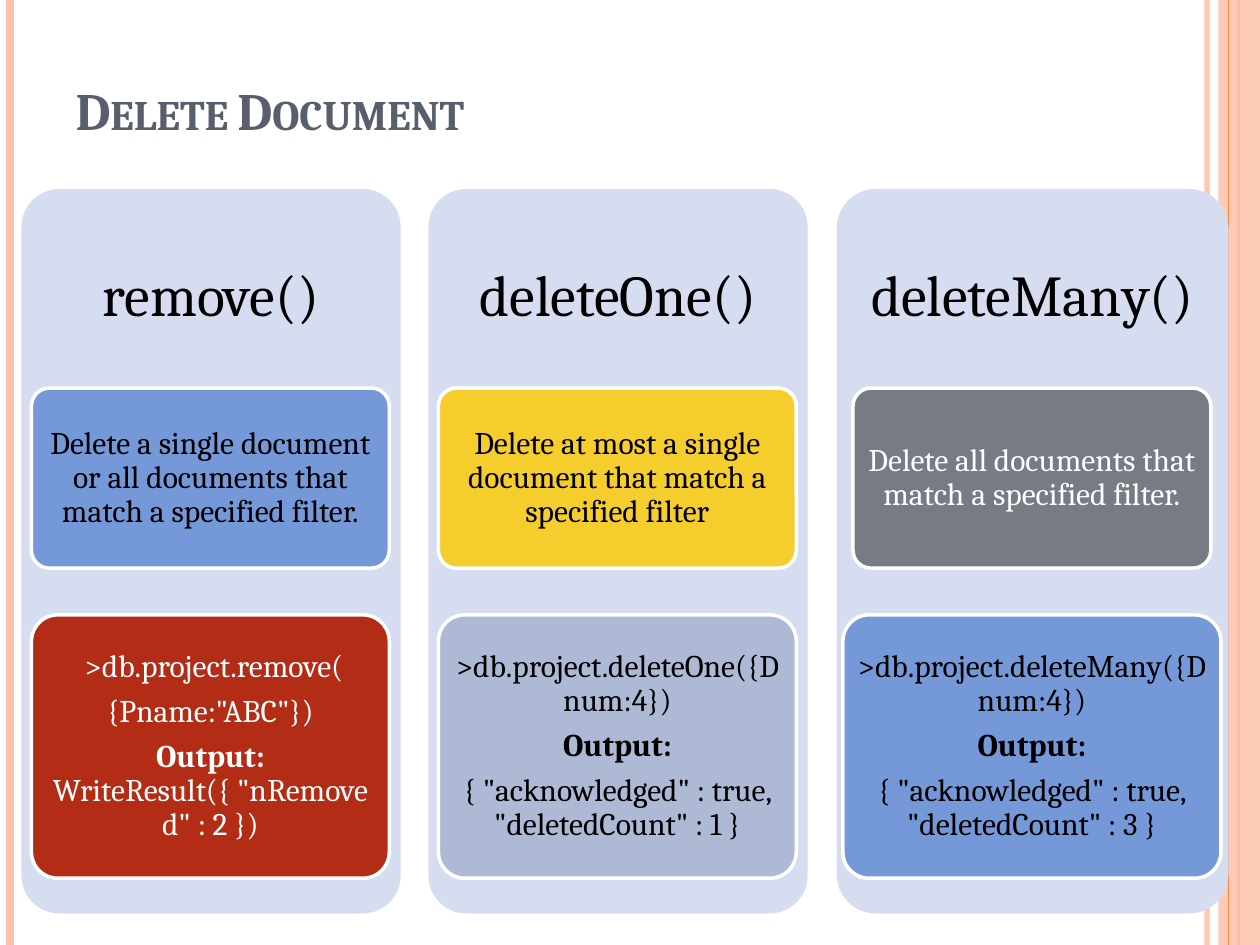
from lxml.etree import SubElement
from pptx import Presentation
from pptx.dml.color import RGBColor
from pptx.enum.shapes import MSO_CONNECTOR, MSO_SHAPE
from pptx.enum.text import MSO_ANCHOR, MSO_AUTO_SIZE, PP_ALIGN
from pptx.oxml.ns import qn
from pptx.util import Emu, Pt

SCALE = 9144  # EMU per px, 100 px to the inch
WIDE, HIGH = 1000, 750
PEACH, ORANGE, SLATE = "FEC3AE", "FE8637", "575F6D"
PALE, WHITE, BLACK = "D6DDF1", "FFFFFF", "000000"
BLUE, RED, GOLD, GREY, MIST = "7598D9", "B32C16", "F5CD2D", "777C84", "AEBAD5"


def px(*vals):
    return [Emu(v * SCALE) for v in vals]


def paint(item, color, alpha=100):
    """Colour a fill or line fill; alpha is opacity in percent."""
    item.solid()
    item.fore_color.rgb = RGBColor.from_string(color)
    if alpha < 100:
        clr = item._xPr.find(".//" + qn("a:srgbClr"))
        SubElement(clr, qn("a:alpha")).set("val", str(alpha * 1000))


class Deck:
    font = "Cambria"

    def __init__(self):
        self.prs = Presentation()
        self.prs.slide_width, self.prs.slide_height = px(WIDE, HIGH)
        self.slide = self.prs.slides.add_slide(self.prs.slide_layouts[5])
        self.shapes = self.slide.shapes

    def run(self, para, text, size, color, bold=False):
        run = para.add_run()
        run.text = text
        font = run.font
        font.name, font.size, font.bold = self.font, Pt(size), bold
        font.color.rgb = RGBColor.from_string(color)
        return run

    def title(self, text, x, y, w, h):
        box = self.shapes.title
        box.left, box.top, box.width, box.height = px(x, y, w, h)
        frame = box.text_frame
        frame.auto_size = MSO_AUTO_SIZE.NONE
        frame.vertical_anchor = MSO_ANCHOR.BOTTOM
        para = frame.paragraphs[0]
        para.alignment = PP_ALIGN.LEFT
        run = self.run(para, text, 30, SLATE, True)
        run.font._element.set("cap", "small")

    def rule(self, x, color, width, alpha=100):
        """Draw an upright line over the full slide height."""
        line = self.shapes.add_connector(MSO_CONNECTOR.STRAIGHT, *px(x, 0, x, HIGH))
        paint(line.line.fill, color, alpha)
        line.line.width = Pt(width)
        SubElement(line._element.spPr, qn("a:effectLst"))

    def block(self, kind, x, y, w, h, fill, alpha=100, edge=None):
        shape = self.shapes.add_shape(kind, *px(x, y, w, h))
        shape.shadow.inherit = False
        paint(shape.fill, fill, alpha)
        if edge:
            paint(shape.line.fill, edge)
            shape.line.width = Pt(2)
        else:
            shape.line.fill.background()
        return shape

    def card(self, *place, edge=None):
        shape = self.block(MSO_SHAPE.ROUNDED_RECTANGLE, *place, edge=edge)
        shape.adjustments[0] = 0.1

    def text(self, x, y, w, h, paras, size, color, side, top):
        """Centre paragraphs, each a list of (text, bold) runs."""
        frame = self.shapes.add_textbox(*px(x, y, w, h)).text_frame
        frame.word_wrap = True
        frame.vertical_anchor = MSO_ANCHOR.MIDDLE
        frame.margin_left = frame.margin_right = px(side)[0]
        frame.margin_top = frame.margin_bottom = px(top)[0]
        for i, runs in enumerate(paras):
            para = frame.add_paragraph() if i else frame.paragraphs[0]
            para.alignment = PP_ALIGN.CENTER
            para.line_spacing = 0.9
            para.space_after = Pt(0.35 * size)
            for words, bold in runs:
                self.run(para, words, size, color, bold)

    def panel(self, x, y, w, h, fill, color, paras, pad):
        self.card(x, y, w, h, fill, edge=WHITE)
        self.text(x + pad, y + pad, w - 2 * pad, h - 2 * pad, paras, 18, color, 5, 4)

    def column(self, x, w, name, tip, code):
        """Draw a method's card with its tip and code panels centred in it."""
        self.card(x, 150, w, 575, PALE)
        self.text(x, 150, w, 173, [[(name, False)]], 33, BLACK, 14, 14)
        for (wide, *look), y, h, pad in ((tip, 308, 143, 4), (code, 488, 209, 6)):
            self.panel(x + (w - wide) // 2, y, wide, h, *look, pad)


def sample(call, count):
    return [
        [(call, False)],
        [("Output:", True)],
        [(f'{{ "acknowledged" : true, "deletedCount" : {count} }}', False)],
    ]


REMOVE = [
    [(" >db.project.remove(", False)],
    [('{Pname:"ABC"})', False)],
    [("Output: ", True), ('WriteResult({ "nRemoved" : 2 })', False)],
]
COLUMNS = [
    (17, 301, "remove()",
     (284, BLUE, BLACK, [[("Delete a single document or all documents that "
                           "match a specified filter.", False)]]),
     (284, RED, WHITE, REMOVE)),
    (340, 301, "deleteOne()",
     (284, GOLD, BLACK, [[("Delete at most a single document that match a "
                           "specified filter", False)]]),
     (284, MIST, BLACK, sample(">db.project.deleteOne({Dnum:4})", 1))),
    (664, 311, "deleteMany()",
     (284, GREY, WHITE, [[("Delete all documents that match a specified "
                           "filter.", False)]]),
     (300, BLUE, BLACK, sample(">db.project.deleteMany({Dnum:4})", 3))),
]


def main():
    deck = Deck()
    deck.rule(958, PEACH, 3, 93)
    deck.rule(8, PEACH, 4.5)
    deck.rule(983, ORANGE, 1.5)
    deck.block(MSO_SHAPE.RECTANGLE, 967, 0, 33, HIGH, PEACH, 87)
    deck.rule(975, ORANGE, 0.75)
    deck.title("Delete Document", 50, -8, 817, 125)
    for column in COLUMNS:
        deck.column(*column)
    deck.prs.save("out.pptx")


if __name__ == "__main__":
    main()
